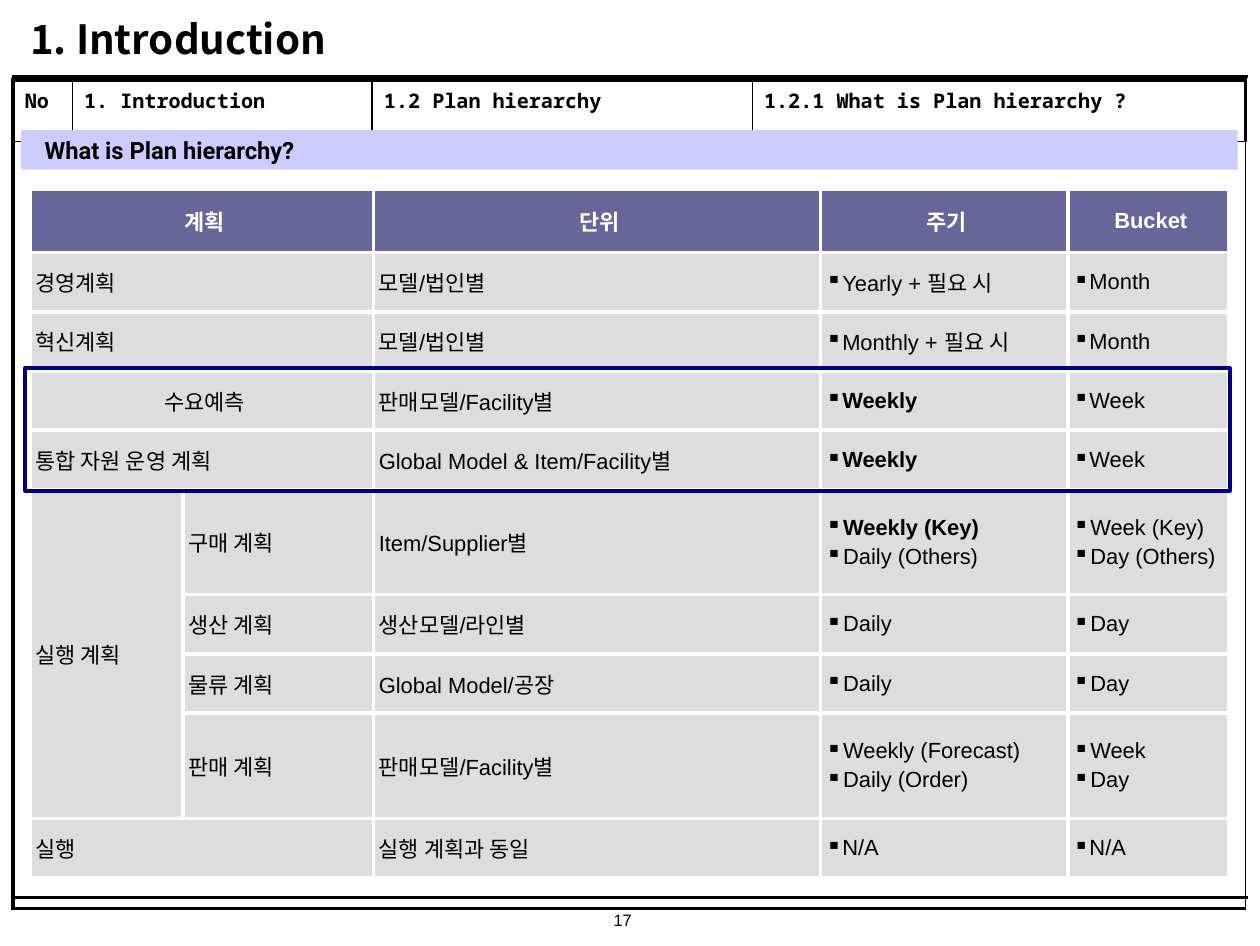
import pptx
import pptx.util
import pptx.dml.color
import pptx.enum.shapes
import pptx.enum.text
from dataclasses import dataclass
from lxml import etree
from pptx.oxml.ns import qn


@dataclass(frozen=True)
class Theme:
    black: str = "000000"
    white: str = "FFFFFF"
    header: str = "666699"
    cell: str = "DDDDDD"
    band: str = "CCCCFF"
    highlight: str = "000080"
    korean: str = "Noto Sans CJK KR"
    body: str = "Arial"
    mono: str = "Noto Sans Mono"
    band_font: str = "Roboto"
    title_size: float = 22
    band_size: float = 13
    body_size: float = 12
    path_size: float = 11
    page_size: float = 9
    thin: float = 1
    rule: float = 1.5
    thick: float = 2.25


theme = Theme()
rgb = pptx.dml.color.RGBColor.from_string
align = pptx.enum.text.PP_ALIGN
middle = pptx.enum.text.MSO_ANCHOR.MIDDLE

presentation = pptx.Presentation()
presentation.slide_width = pptx.util.Inches(9.58)
presentation.slide_height = pptx.util.Inches(7.19)
# All lengths below are percentages of the slide's width (across) or height (down).
across = presentation.slide_width / 100
down = presentation.slide_height / 100


def write(text_frame, lines, size, font, color=theme.black, bold=(), alignment=align.LEFT, hang=0):
    """Fill a frame; lines listed in bold are bold, and hang is the bullet indent."""
    text_frame.text = "\n".join(lines)
    for index, paragraph in enumerate(text_frame.paragraphs):
        paragraph.alignment = alignment
        if index:
            paragraph.space_before = pptx.util.Pt(size * 0.2)
        if hang:
            properties = paragraph._p.get_or_add_pPr()
            properties.set("marL", str(int(hang * across)))
            properties.set("indent", str(-int(hang * across)))
            etree.SubElement(properties, qn("a:buChar"), char="▪")
        for run in paragraph.runs:
            run.font.size = pptx.util.Pt(size)
            run.font.bold = run.text in bold
            run.font.color.rgb = rgb(color)
            run.font.name = font
            etree.SubElement(run._r.get_or_add_rPr(), qn("a:ea"), typeface=theme.korean)


def add_grid(left, top, columns, rows, color, inner, outer):
    """Add an unstyled table with inner and outer border widths in points."""
    frame = slide.shapes.add_table(len(rows), len(columns), int(left * across), int(top * down),
                                   int(sum(columns) * across), int(sum(rows) * down))
    table = frame.table
    table.first_row = table.horz_banding = False
    for column, width in zip(table.columns, columns):
        column.width = int(width * across)
    for row, height in zip(table.rows, rows):
        row.height = int(height * down)
    for r in range(len(rows)):
        for c in range(len(columns)):
            cell = table.cell(r, c)
            edges = {"lnL": c == 0, "lnR": c == len(columns) - 1,
                     "lnT": r == 0, "lnB": r == len(rows) - 1}
            for edge, is_outer in edges.items():
                width = pptx.util.Pt(outer if is_outer else inner)
                border = etree.SubElement(cell._tc.get_or_add_tcPr(), qn("a:" + edge), w=str(width))
                fill = etree.SubElement(border, qn("a:solidFill"))
                etree.SubElement(fill, qn("a:srgbClr"), val=color)
            cell.fill.background()
    return table


slide = presentation.slides.add_slide(presentation.slide_layouts[5])

title = slide.shapes.title
title.left, title.top = int(1.36 * across), int(0.83 * down)
title.width, title.height = int(47.08 * across), int(6.4 * down)
title.text_frame.vertical_anchor = middle
heading = "1. Introduction"
write(title.text_frame, [heading], theme.title_size, theme.korean, bold=[heading])
title.text_frame.word_wrap = False
title.text_frame.auto_size = pptx.enum.text.MSO_AUTO_SIZE.SHAPE_TO_FIT_TEXT

for level in (8.07, 94.85):
    rule = slide.shapes.add_connector(pptx.enum.shapes.MSO_CONNECTOR.STRAIGHT,
                                      int(0.94 * across), int(level * down),
                                      int(99.06 * across), int(level * down))
    rule.line.color.rgb = rgb(theme.black)
    rule.line.width = pptx.util.Pt(theme.rule)
    etree.SubElement(rule._element.spPr, qn("a:effectLst"))

page_number = slide.shapes.add_textbox(int(39.04 * across), int(95.55 * down),
                                       int(20.77 * across), int(4.45 * down))
page_number.text_frame.word_wrap = True
write(page_number.text_frame, ["17"], theme.page_size, theme.body, alignment=align.CENTER)

# Page frame with the section path in its first row
path_labels = ["No.", heading, "1.2 Plan hierarchy", "1.2.1 What is Plan hierarchy ?"]
page_frame = add_grid(1.04, 8.48, [4.7, 23.8, 30.17, 39.14], [4.87, 81.08],
                      theme.black, theme.thin, theme.thick)
page_frame.cell(1, 0).merge(page_frame.cell(1, 3))
for column, label in enumerate(path_labels):
    cell = page_frame.cell(0, column)
    cell.margin_left = cell.margin_right = int(0.94 * across)
    write(cell.text_frame, [label], theme.path_size, theme.mono, bold=path_labels)

band = slide.shapes.add_shape(pptx.enum.shapes.MSO_SHAPE.RECTANGLE, int(1.67 * across),
                              int(13.77 * down), int(96.56 * across), int(4.17 * down))
band.shadow.inherit = False
band.fill.solid()
band.fill.fore_color.rgb = rgb(theme.band)
band.line.fill.background()
band.text_frame.margin_left = int(1.88 * across)
band.text_frame.vertical_anchor = middle
question = "What is Plan hierarchy?"
write(band.text_frame, [question], theme.band_size, theme.band_font, bold=[question])

# Plan, sub-plan, unit, cycle, bucket
headers = ["계획", "", "단위", "주기", "Bucket"]
plans = [
    ["경영계획", "", "모델/법인별", "Yearly + 필요 시", "Month"],
    ["혁신계획", "", "모델/법인별", "Monthly + 필요 시", "Month"],
    ["수요예측", "", "판매모델/Facility별", "Weekly", "Week"],
    ["통합 자원 운영 계획", "", "Global Model & Item/Facility별", "Weekly", "Week"],
    ["실행 계획", "구매 계획", "Item/Supplier별", "Weekly (Key)\nDaily (Others)",
     "Week (Key)\nDay (Others)"],
    ["", "생산 계획", "생산모델/라인별", "Daily", "Day"],
    ["", "물류 계획", "Global Model/공장", "Daily", "Day"],
    ["", "판매 계획", "판매모델/Facility별", "Weekly (Forecast)\nDaily (Order)", "Week\nDay"],
    ["실행", "", "실행 계획과 동일", "N/A", "N/A"],
]
key_cycles = ["Weekly", "Weekly (Key)"]
row_heights = [6.68] + [11.13 if "\n" in plan[3] else 6.26 for plan in plans]
plan_table = add_grid(2.4, 20.03, [12.11, 15.14, 35.49, 19.62, 12.75], row_heights,
                      theme.white, theme.thick, theme.thick)
for r, row in enumerate([headers] + plans):
    for c, text in enumerate(row):
        cell = plan_table.cell(r, c)
        cell.fill.solid()
        cell.fill.fore_color.rgb = rgb(theme.cell if r else theme.header)
        cell.vertical_anchor = middle
        cell.margin_left = int(0.42 * across)
        cell.margin_right = 0
        cell.margin_top = cell.margin_bottom = int(0.56 * down)
        if not text:
            continue
        if r == 0:
            write(cell.text_frame, [text], theme.body_size, theme.body, theme.white,
                  headers, align.CENTER)
        elif c < 3:
            write(cell.text_frame, [text], theme.body_size, theme.korean if c < 2 else theme.body,
                  alignment=align.CENTER if text == "수요예측" else align.LEFT)
        else:
            write(cell.text_frame, text.split("\n"), theme.body_size, theme.body,
                  bold=key_cycles, hang=1.36 if row[1] else 1.04)
    if row[0] and not row[1]:
        plan_table.cell(r, 0).merge(plan_table.cell(r, 1))
plan_table.cell(5, 0).merge(plan_table.cell(8, 0))

highlight = slide.shapes.add_shape(pptx.enum.shapes.MSO_SHAPE.RECTANGLE, int(1.98 * across),
                                   int(38.94 * down), int(95.62 * across), int(12.93 * down))
highlight.shadow.inherit = False
highlight.fill.background()
highlight.line.color.rgb = rgb(theme.highlight)
highlight.line.width = pptx.util.Pt(theme.thick)

presentation.save("out.pptx")
